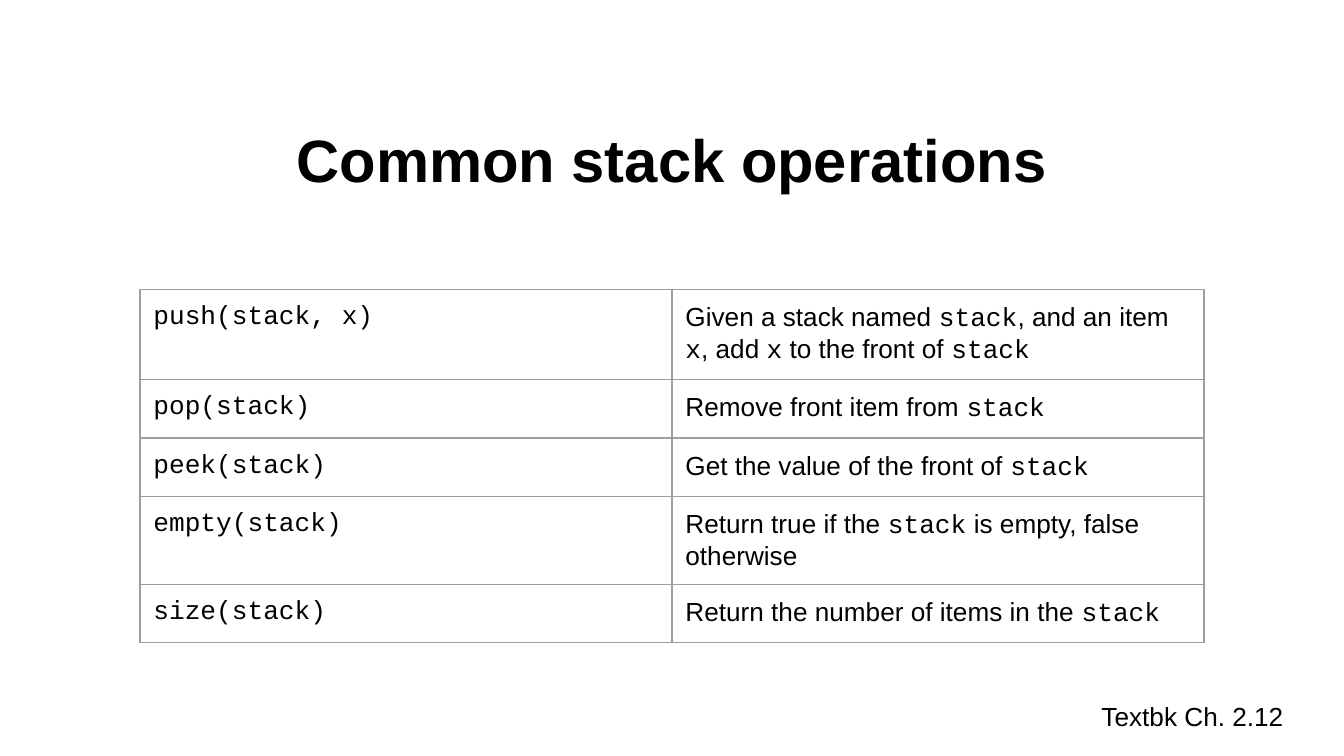
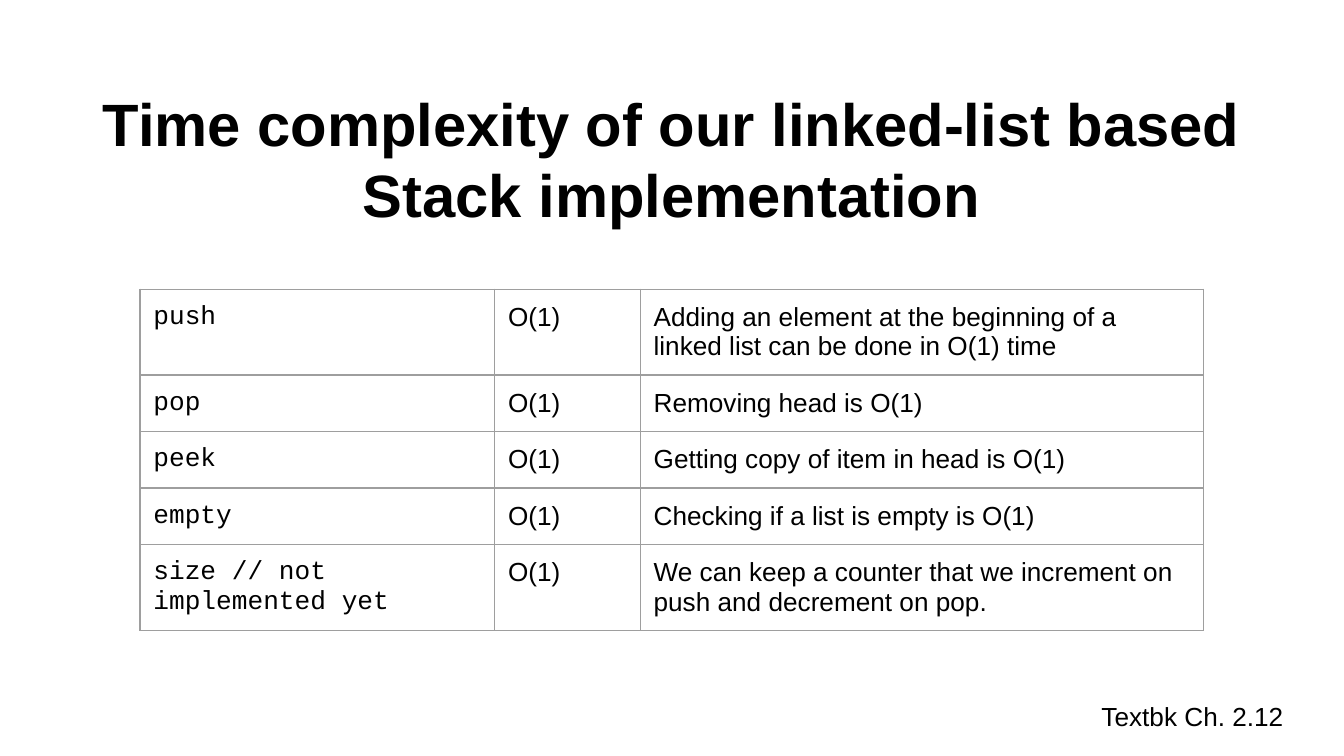
from lxml.etree import SubElement
from pptx import Presentation
from pptx.dml.color import RGBColor
from pptx.enum.text import MSO_ANCHOR, MSO_AUTO_SIZE, PP_ALIGN
from pptx.oxml.ns import qn
from pptx.util import Pt

BLACK = RGBColor(0x00, 0x00, 0x00)
WHITE = RGBColor(0xFF, 0xFF, 0xFF)
GRAY = RGBColor(0x9E, 0x9E, 0x9E)
BODY_FONT = "Arial"
CODE_FONT = "Courier New"
INSET = Pt(7.2)
FOOTER = "Textbk Ch. 2.12"

# Title, column widths and rows of each slide; backticks enclose code
SLIDES = [
    ("Common stack operations", [285, 285], [
        ("`push(stack, x)`",
         "Given a stack named `stack`, and an item `x`, add `x` to the front of `stack`"),
        ("`pop(stack)`", "Remove front item from `stack`"),
        ("`peek(stack)`", "Get the value of the front of `stack`"),
        ("`empty(stack)`", "Return true if the `stack` is empty, false otherwise"),
        ("`size(stack)`", "Return the number of items in the `stack`"),
    ]),
    ("Time complexity of our linked-list based Stack implementation", [190, 78, 302], [
        ("`push`", "O(1)",
         "Adding an element at the beginning of a linked list can be done in O(1) time"),
        ("`pop`", "O(1)", "Removing head is O(1)"),
        ("`peek`", "O(1)", "Getting copy of item in head is O(1)"),
        ("`empty`", "O(1)", "Checking if a list is empty is O(1)"),
        ("`size // not implemented yet`", "O(1)",
         "We can keep a counter that we increment on push and decrement on pop."),
    ]),
]


def write_text(frame, text, size, bold=False):
    """Write one paragraph, setting the parts between backticks as code."""
    para = frame.paragraphs[0]
    para.font.size = Pt(size)
    para.font.bold = bold
    para.font.color.rgb = BLACK
    for index, part in enumerate(text.split("`")):
        if part:
            span = para.add_run()
            span.text = part
            span.font.name = CODE_FONT if index % 2 else BODY_FONT
    return para


def format_cell(cell):
    """Give a cell even margins, thin gray borders and no fill."""
    cell.margin_left = cell.margin_right = INSET
    cell.margin_top = cell.margin_bottom = INSET
    properties = cell._tc.get_or_add_tcPr()
    for side in ("a:lnL", "a:lnR", "a:lnT", "a:lnB"):
        line = SubElement(properties, qn(side), w=str(Pt(0.75)))
        fill = SubElement(line, qn("a:solidFill"))
        SubElement(fill, qn("a:srgbClr"), val=str(GRAY))
    cell.fill.background()


deck = Presentation()
deck.slide_width, deck.slide_height = Pt(720), Pt(405)

for title_text, widths, rows in SLIDES:
    page = deck.slides.add_slide(deck.slide_layouts[5])
    page.background.fill.solid()
    page.background.fill.fore_color.rgb = WHITE

    # Title
    title = page.shapes.title
    title.left, title.top, title.width, title.height = Pt(36), Pt(53), Pt(648), Pt(63.5)
    title.text_frame.vertical_anchor = MSO_ANCHOR.MIDDLE
    write_text(title.text_frame, title_text, 32, bold=True).alignment = PP_ALIGN.CENTER

    # Table
    table = page.shapes.add_table(len(rows), len(widths), Pt(75), Pt(155),
                                  Pt(sum(widths)), Pt(30 * len(rows))).table
    table.first_row = table.horz_banding = False
    for column, width in zip(table.columns, widths):
        column.width = Pt(width)
    for row, texts in zip(table.rows, rows):
        for cell, text in zip(row.cells, texts):
            format_cell(cell)
            write_text(cell.text_frame, text, 14)

    # Footer
    footer = page.shapes.add_textbox(Pt(583), Pt(368), Pt(121), Pt(33))
    write_text(footer.text_frame, FOOTER, 14)

    for frame in (title.text_frame, footer.text_frame):
        frame.word_wrap = True
        frame.auto_size = MSO_AUTO_SIZE.NONE
        frame.margin_left = frame.margin_right = INSET
        frame.margin_top = frame.margin_bottom = INSET

deck.save("out.pptx")
